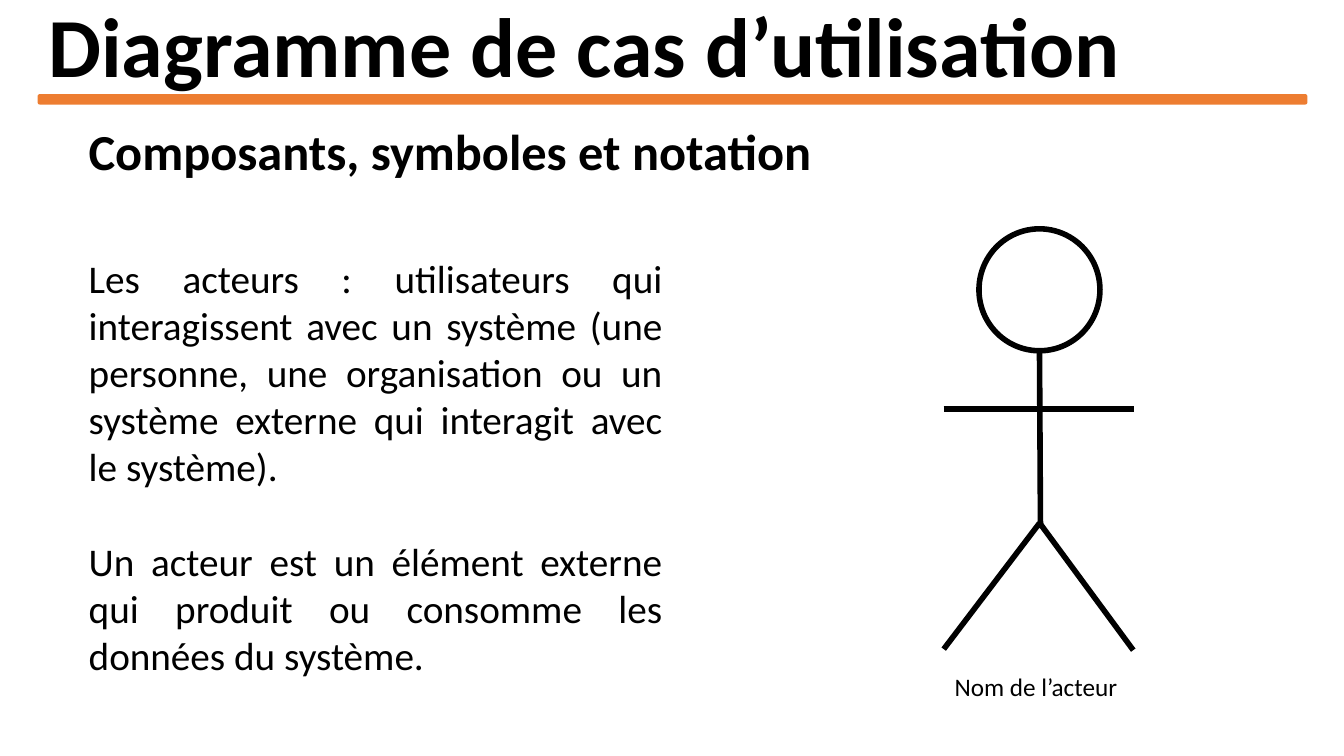
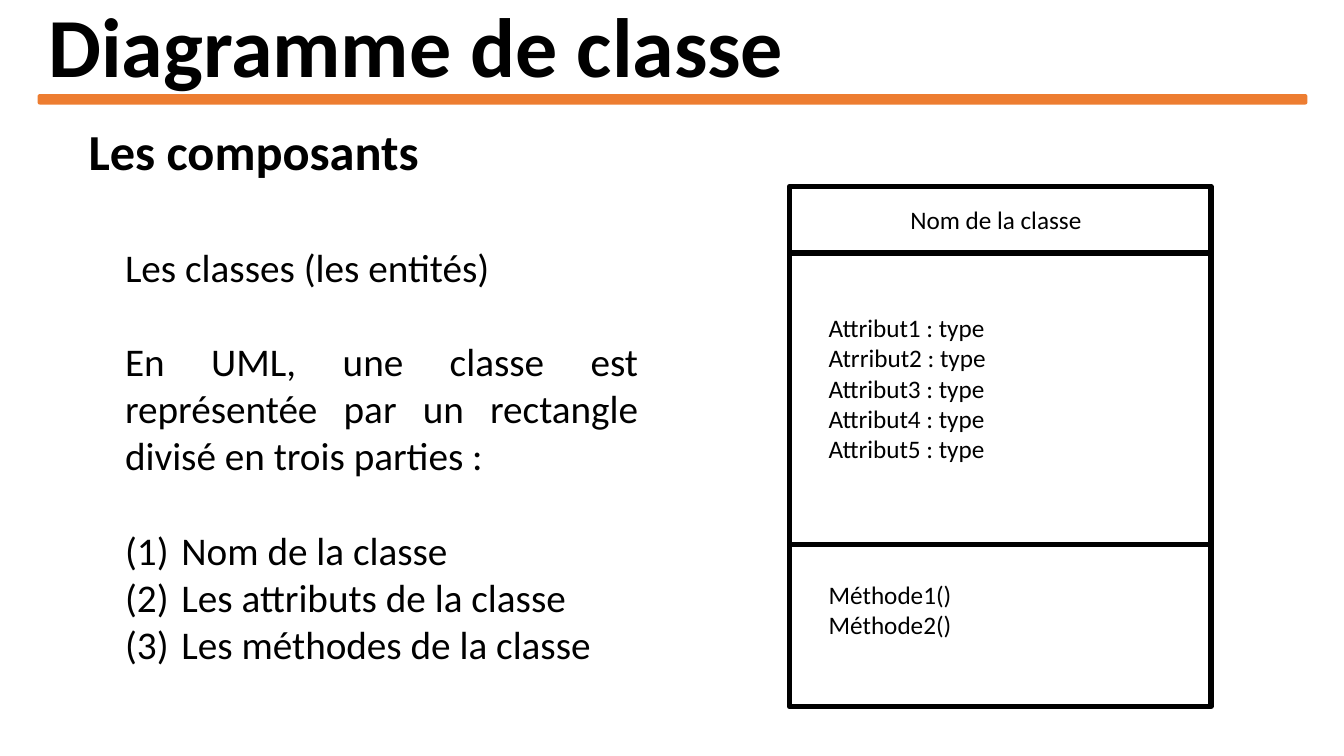
from lxml.etree import SubElement
from pptx import Presentation
from pptx.dml.color import RGBColor
from pptx.enum.shapes import MSO_CONNECTOR as Link, MSO_SHAPE as Shape
from pptx.enum.text import MSO_ANCHOR as Anchor, MSO_AUTO_SIZE as Fit, PP_ALIGN as Align
from pptx.oxml.ns import qn
from pptx.util import Inches, Pt

BLACK = RGBColor(0x00, 0x00, 0x00)
WHITE = RGBColor(0xFF, 0xFF, 0xFF)
ORANGE = RGBColor(0xED, 0x7D, 0x31)
FONT = "Calibri"
STROKE = Pt(4)


def write(shape, box, lines, size, align=Align.LEFT, bold=False):
    """Place a text shape and fill it with one paragraph per line."""
    shape.left, shape.top, shape.width, shape.height = map(Inches, box)
    frame = shape.text_frame
    frame.word_wrap = True
    frame.auto_size = Fit.NONE
    frame.text = "\n".join(lines)
    for par in frame.paragraphs:
        par.alignment = align
        par.space_before = Pt(0)
        font = par.font
        font.name, font.size, font.bold = FONT, Pt(size), bold
        font.color.rgb = BLACK
    return frame


def stroke(slide, x1, y1, x2, y2):
    line = slide.shapes.add_connector(Link.STRAIGHT, *map(Inches, (x1, y1, x2, y2)))
    line.line.color.rgb = BLACK
    line.line.width = STROKE
    SubElement(line._element.spPr, qn("a:effectLst"))


prs = Presentation()
prs.slide_width, prs.slide_height = Inches(13.33), Inches(7.5)

# Title, heading, body box, body paragraphs, number of numbered items at the end
PAGES = [
    ("Diagramme de cas d’utilisation", "Composants, symboles et notation",
     (0.78, 2.47, 5.89, 4.34),
     ["Les acteurs : utilisateurs qui interagissent avec un système (une personne, "
      "une organisation ou un système externe qui interagit avec le système).",
      "Un acteur est un élément externe qui produit ou consomme les données du système."],
     0),
    ("Diagramme de classe", "Les composants",
     (1.14, 2.36, 5.29, 4.34),
     ["Les classes (les entités)",
      "En UML, une classe est représentée par un rectangle divisé en trois parties :",
      "Nom de la classe", "Les attributs de la classe", "Les méthodes de la classe"],
     3),
]

for title, heading, box, lines, count in PAGES:
    slide = prs.slides.add_slide(prs.slide_layouts[1])
    frame = write(slide.shapes.title, (0.38, 0, 12.58, 1), [title], 60, bold=True)
    frame.vertical_anchor = Anchor.MIDDLE
    frame.paragraphs[0].line_spacing = 0.9

    bar = slide.shapes.add_shape(Shape.ROUNDED_RECTANGLE, *map(Inches, (0.38, 0.94, 12.58, 0.09)))
    bar.shadow.inherit = False
    bar.fill.solid()
    bar.fill.fore_color.rgb = bar.line.color.rgb = ORANGE
    bar.line.width = Pt(1)

    label = slide.shapes.add_textbox(0, 0, 0, 0)
    write(label, (0.78, 1.14, 11.78, 0.71), [heading], 36, Align.JUSTIFY, True)

    # Numbered items follow each other; other paragraphs stand one line apart
    body = write(slide.placeholders[1], box, lines, 28, Align.JUSTIFY)
    first = len(lines) - count
    for i, par in enumerate(body.paragraphs):
        props = par._p.get_or_add_pPr()
        indent = Inches(0.56) if i >= first else 0
        props.set("marL", str(indent))
        props.set("indent", str(-indent))
        mark = props.makeelement(qn("a:buAutoNum" if indent else "a:buNone"))
        if indent:
            mark.set("type", "arabicParenBoth")
        props.find(qn("a:defRPr")).addprevious(mark)
        if 0 < i <= first:
            par.space_before = Pt(34)

use, cls = prs.slides

# Actor
head = use.shapes.add_shape(Shape.OVAL, *map(Inches, (9.71, 2.27, 1.2, 1.21)))
head.shadow.inherit = False
head.fill.background()
head.line.color.rgb = BLACK
head.line.width = STROKE
for ends in [(10.31, 3.49, 10.32, 5.24), (10.31, 5.19, 9.36, 6.44),
             (10.32, 5.2, 11.24, 6.45), (9.36, 4.06, 11.25, 4.06)]:
    stroke(use, *ends)

# Class box
frame = cls.shapes.add_shape(Shape.RECTANGLE, *map(Inches, (7.83, 1.85, 4.18, 5.16)))
frame.shadow.inherit = False
frame.fill.solid()
frame.fill.fore_color.rgb = WHITE
frame.line.color.rgb = BLACK
frame.line.width = STROKE
for y in (2.51, 5.4):
    stroke(cls, 7.83, y, 12.01, y)

# Diagram labels
for slide, box, lines in [
    (use, (9.37, 6.61, 1.89, 0.4), ["Nom de l’acteur"]),
    (cls, (8.93, 1.98, 1.99, 0.4), ["Nom de la classe"]),
    (cls, (8.12, 3.05, 1.99, 1.62),
     ["Attribut1 : type", "Atrribut2 : type", "Attribut3 : type",
      "Attribut4 : type", "Attribut5 : type"]),
    (cls, (8.12, 5.7, 1.99, 0.71), ["Méthode1()", "Méthode2()"]),
]:
    write(slide.shapes.add_textbox(0, 0, 0, 0), box, lines, 18)

prs.save("out.pptx")
